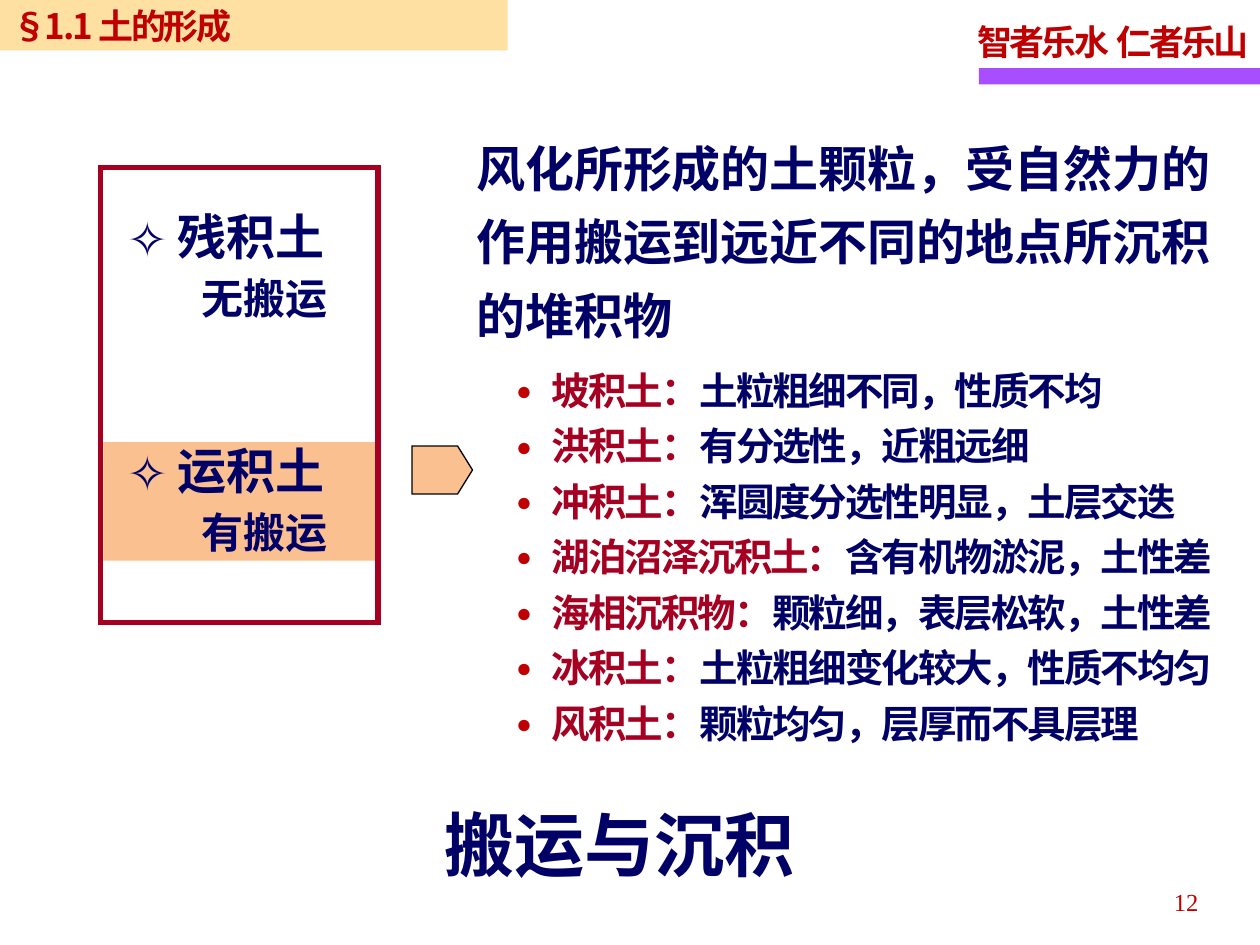
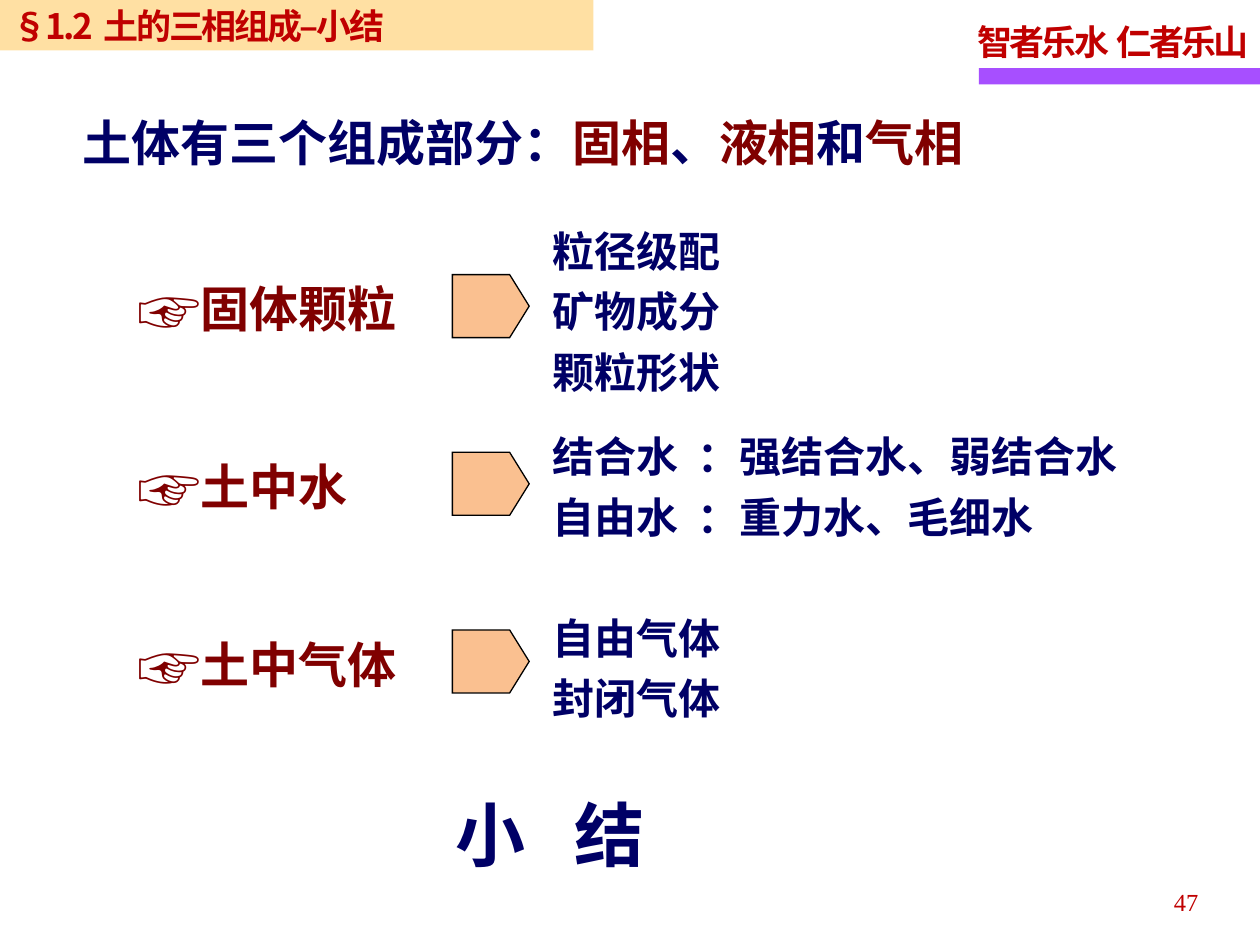
"""Build two soil mechanics slides: transport and deposition, and a summary."""
from lxml import etree
from pptx import Presentation
from pptx import util as u
from pptx.dml import color
from pptx.enum import shapes, text
from pptx.oxml import ns

COLUMNS, ROWS = 100, 75
CELL = u.Inches(0.1)
NAVY, CRIMSON, MAROON, RED = "000066", "A50021", "800000", "C00000"
PEACH, SAND, VIOLET, BLACK = "FAC090", "FFCC66", "A74FFF", "000000"
SERIF, SANS = "Times New Roman", "Noto Sans CJK SC"


def rgb(value):
    """Turn a hex string into a colour."""
    return color.RGBColor.from_string(value)


def grid(*cells):
    """Turn grid cells into lengths."""
    return [int(c * CELL) for c in cells]


def add_xml(parent, tag, **attrs):
    """Append a drawing element with attributes."""
    return etree.SubElement(parent, ns.qn(tag), {k: str(v) for k, v in attrs.items()})


def add_run(p, words, size, colour, font=SERIF, bold=True, spacing=0):
    """Add one run; spacing is in points."""
    r = p.add_run()
    r.text = words
    f = r.font
    f.size, f.bold, f.name = u.Pt(size), bold, font
    f.color.rgb = rgb(colour)
    rpr = r._r.get_or_add_rPr()
    if spacing:
        rpr.set("spc", str(round(spacing * 100)))
    add_xml(rpr, "a:ea", typeface=SANS)


def add_gapped(p, parts, gap, size, colour, font=SERIF, spacing=0):
    """Add parts separated by single spaces widened by gap points."""
    for i, part in enumerate(parts):
        if i:
            add_run(p, " ", size, colour, font, spacing=gap)
        add_run(p, part, size, colour, font, spacing=spacing)


def set_bullet(p, char, indent, percent=100, colour=None):
    """Give a paragraph a hanging bullet; indent is in columns."""
    ppr = p._p.get_or_add_pPr()
    ppr.set("marL", str(int(indent * CELL)))
    ppr.set("indent", str(-int(indent * CELL)))
    if colour:
        add_xml(add_xml(ppr, "a:buClr"), "a:srgbClr", val=colour)
    add_xml(ppr, "a:buSzPct", val=percent * 1000)
    add_xml(ppr, "a:buFont", typeface=SANS)
    add_xml(ppr, "a:buChar", char=char)


def add_box(s, cells, inset=True, wrap=True):
    """Add a text box and return its text frame."""
    tf = s.shapes.add_textbox(*grid(*cells)).text_frame
    tf.word_wrap = wrap
    if not inset:
        tf.margin_left = tf.margin_right = tf.margin_top = tf.margin_bottom = 0
    return tf


def add_paragraph(tf, line_spacing=None):
    """Return the empty first paragraph or a new one."""
    first = tf.paragraphs[0]
    p = tf.add_paragraph() if first.runs else first
    if line_spacing:
        p.line_spacing = line_spacing
    return p


def add_block(s, cells, fill=None, line=None, width=0.75, kind=shapes.MSO_SHAPE.RECTANGLE):
    """Add a flat preset shape with sharp corners."""
    sp = s.shapes.add_shape(kind, *grid(*cells))
    sp.shadow.inherit = False
    if fill:
        sp.fill.solid()
        sp.fill.fore_color.rgb = rgb(fill)
    else:
        sp.fill.background()
    if line:
        sp.line.color.rgb = rgb(line)
        sp.line.width = u.Pt(width)
        add_xml(sp.get_or_add_ln(), "a:miter", lim=800000)
    else:
        sp.line.fill.background()
    return sp


def add_arrow(s, cells):
    """Add a peach pentagon pointing right."""
    sp = add_block(s, cells, PEACH, BLACK, kind=shapes.MSO_SHAPE.PENTAGON)
    sp.adjustments[0] = 0.31


def add_lines(s, cells, lines, font=SERIF):
    """Add a box of navy detail lines; a tuple is split by a wide gap."""
    tf = add_box(s, cells, wrap=False)
    for line in lines:
        parts = line if isinstance(line, tuple) else (line,)
        add_gapped(add_paragraph(tf, 1.2), parts, 5, 24, NAVY, font)


def add_slide(prs, number):
    """Add a blank slide with the motto, its bar and the page number."""
    s = prs.slides.add_slide(prs.slide_layouts[6])
    add_block(s, (77.7, 5.4, 22.3, 1.3), VIOLET)
    p = add_paragraph(add_box(s, (77.6, 1.1, 22.4, 4), inset=False, wrap=False), 1.15)
    add_gapped(p, ("智者乐水", "仁者乐山"), 0, 20, RED, spacing=-1.7)
    p = add_paragraph(add_box(s, (72.8, 69.6, 23.3, 4)), 1.15)
    p.alignment = text.PP_ALIGN.RIGHT
    add_run(p, str(number), 14, RED, bold=False)
    return s


def add_section(s, width, parts, gap):
    """Add the translucent section band at the top left."""
    sp = add_block(s, (0, 0, width, 4), SAND)
    add_xml(sp.fill._xPr.find(".//" + ns.qn("a:srgbClr")), "a:alpha", val=60000)
    tf = sp.text_frame
    tf.vertical_anchor = text.MSO_ANCHOR.MIDDLE
    p = add_paragraph(tf)
    p.alignment = text.PP_ALIGN.LEFT
    add_gapped(p, parts, gap, 20, RED, SANS, -1.4)


def add_title(s, cells, parts, font):
    """Add the large title at the foot of a slide."""
    add_gapped(add_paragraph(add_box(s, cells)), parts, 19, 40, NAVY, font)


def add_origin(s, top, name, note):
    """Add a soil origin with its transport note below."""
    tf = add_box(s, (9.1, top, 18.7, 11))
    p = add_paragraph(tf)
    set_bullet(p, "✧", 4)
    add_run(p, name, 28, NAVY)
    p = add_paragraph(tf)
    p.space_before = u.Pt(4)
    p._p.get_or_add_pPr().set("marL", str(int(5.9 * CELL)))
    add_run(p, note, 24, NAVY)


def build_transport(prs):
    """Build the slide on transport and deposition."""
    s = add_slide(prs, 12)
    add_block(s, (8.2, 35.1, 21.7, 9.4), PEACH)
    add_title(s, (34.3, 63.1, 34.7, 7.7), ("搬运与沉积",), SERIF)
    add_arrow(s, (32.7, 35.4, 4.8, 3.8))
    for i, origin in enumerate((("残积土", "无搬运"), ("运积土", "有搬运"))):
        add_origin(s, 15.9 + 18.6 * i, *origin)
    add_block(s, (8, 13.3, 22, 36.1), line=CRIMSON, width=3)
    p = add_paragraph(add_box(s, (37.8, 9.8, 60.4, 17.7), inset=False), 1.25)
    add_run(p, "风化所形成的土颗粒，受自然力的作用搬运到远近不同的地点所沉积的堆积物", 28, NAVY)
    deposits = (
        ("坡积土：", "土粒粗细不同，性质不均"),
        ("洪积土：", "有分选性，近粗远细"),
        ("冲积土：", "浑圆度分选性明显，土层交迭"),
        ("湖泊沼泽沉积土：", "含有机物淤泥，土性差"),
        ("海相沉积物：", "颗粒细，表层松软，土性差"),
        ("冰积土：", "土粒粗细变化较大，性质不均匀"),
        ("风积土：", "颗粒均匀，层厚而不具层理"),
    )
    tf = add_box(s, (39.5, 28.4, 58.5, 31.1), inset=False)
    for deposit, trait in deposits:
        p = add_paragraph(tf, 1.2)
        set_bullet(p, "•", 3.8, 140, RED)
        add_run(p, deposit, 22, CRIMSON, SANS, spacing=-1.1)
        add_run(p, trait, 22, NAVY, SANS, spacing=-1.1)
    add_section(s, 40.3, ("§1.1", "土的形成"), -1.4)


def build_summary(prs):
    """Build the slide that sums up the three phases of soil."""
    s = add_slide(prs, 47)
    p = add_paragraph(add_box(s, (5.6, 8.4, 79.5, 5.7)))
    phases = ("土体有三个组成部分：", "固相", "、", "液相", "和", "气相")
    for i, words in enumerate(phases):
        add_run(p, words, 28, MAROON if i % 2 else NAVY, SANS)
    add_title(s, (35.2, 62.3, 27, 7.7), ("小", "结"), SANS)
    for i, name in enumerate(("固体颗粒", "土中水", "土中气体")):
        top = 14.1 * i
        p = add_paragraph(add_box(s, (9.9, 20 + top, 24.9, 7)), 1.35)
        set_bullet(p, "☞", 5, 130)
        add_run(p, name, 28, MAROON)
        add_arrow(s, (35.9, 21.8 + top, 6.1, 5))
    add_lines(s, (42.9, 16.6, 17.3, 15.4), ("粒径级配", "矿物成分", "颗粒形状"), SANS)
    waters = (("结合水", "：强结合水、弱结合水"), ("自由水", "：重力水、毛细水"))
    add_lines(s, (42.9, 32.9, 48.9, 10.6), waters)
    add_lines(s, (42.9, 47.3, 16.9, 10.6), ("自由气体", "封闭气体"))
    add_section(s, 47.1, ("§1.2", "土的三相组成–小结"), 1.7)


def main():
    """Build and save the slides."""
    prs = Presentation()
    prs.slide_width, prs.slide_height = grid(COLUMNS, ROWS)
    build_transport(prs)
    build_summary(prs)
    prs.save("out.pptx")


if __name__ == "__main__":
    main()
